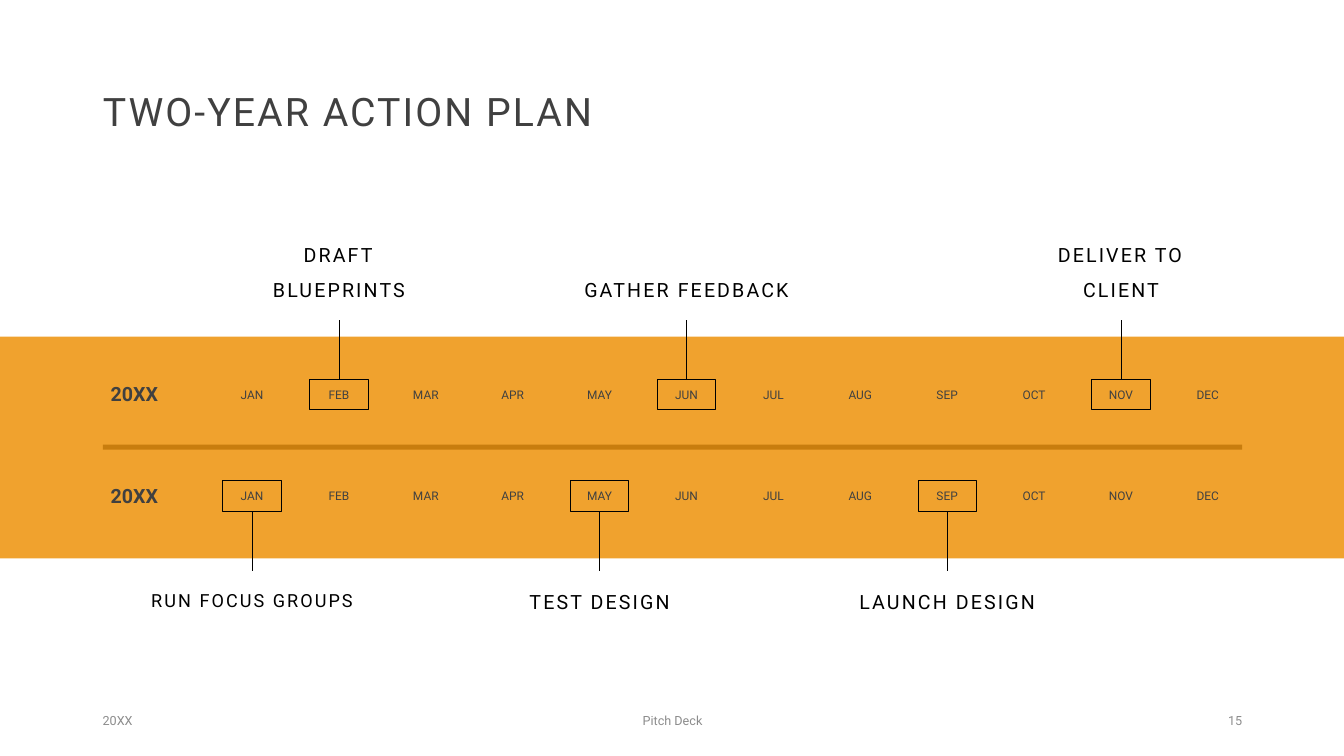
from lxml.etree import SubElement
from pptx import Presentation
from pptx.dml.color import RGBColor
from pptx.enum.shapes import MSO_CONNECTOR as Conn, MSO_SHAPE as Shape
from pptx.enum.text import MSO_ANCHOR as Anchor, MSO_AUTO_SIZE as Fit, PP_ALIGN as Align
from pptx.oxml.ns import qn
from pptx.util import Inches, Pt

COLORS = {
    "band": "F0A22E", "divider": "C87D0E", "text": "404040",
    "label": "000000", "line": "000000", "footer": "8C8C8C",
}
FONT = "Roboto"
WIDTH, HEIGHT = 13.33, 7.5

# Grid: twelve month columns by centre, two year rows by centre
MONTHS = "JAN FEB MAR APR MAY JUN JUL AUG SEP OCT NOV DEC".split()
FIRST_COL, LAST_COL = 2.5, 11.98
COL_STEP = (LAST_COL - FIRST_COL) / (len(MONTHS) - 1)
FIRST_ROW, ROW_STEP = 3.91, 1.01
BOX_W, BOX_H, STEM = 0.58, 0.3, 0.59
LABEL_W, LABEL_H = 2.25, 0.61

# Per year: name, direction of its labels (-1 up, 1 down), milestones
YEARS = [
    ("20XX", -1, [("FEB", "DRAFT BLUEPRINTS", 14),
                  ("JUN", "GATHER FEEDBACK", 14),
                  ("NOV", "DELIVER TO CLIENT", 14)]),
    ("20XX", 1, [("JAN", "RUN FOCUS GROUPS", 12.9),
                 ("MAY", "TEST DESIGN", 14),
                 ("SEP", "LAUNCH DESIGN", 14)]),
]


def rgb(name):
    return RGBColor.from_string(COLORS[name])


def col_x(month):
    return FIRST_COL + MONTHS.index(month) * COL_STEP


def write(sp, text, size, color, align=Align.LEFT, anchor=Anchor.TOP,
          leading=1.0, bold=False, spacing=0):
    tf = sp.text_frame
    tf.word_wrap = True
    tf.auto_size = Fit.NONE
    tf.vertical_anchor = anchor
    p = tf.paragraphs[0]
    p.alignment = align
    p.line_spacing = leading
    r = p.add_run()
    r.text = text
    r.font.name, r.font.size, r.font.bold = FONT, Pt(size), bold
    r.font.color.rgb = rgb(color)
    if spacing:
        r.font._element.set("spc", str(int(spacing * 100)))


def add_text(s, x, y, w, h, text, size, color, **style):
    sp = s.shapes.add_textbox(Inches(x), Inches(y), Inches(w), Inches(h))
    write(sp, text, size, color, **style)


def add_rect(s, x, y, w, h, fill=None):
    sp = s.shapes.add_shape(Shape.RECTANGLE, Inches(x), Inches(y), Inches(w), Inches(h))
    sp.shadow.inherit = False
    if fill:
        sp.fill.solid()
        sp.fill.fore_color.rgb = rgb(fill)
        sp.line.fill.background()
    else:
        sp.fill.background()
        sp.line.color.rgb = rgb("line")
        sp.line.width = Pt(0.5)


def add_stem(s, x, y1, y2):
    line = s.shapes.add_connector(Conn.STRAIGHT, Inches(x), Inches(y1), Inches(x), Inches(y2))
    line.line.color.rgb = rgb("line")
    line.line.width = Pt(0.5)
    SubElement(line._element.spPr, qn("a:effectLst"))


def add_title(s, text):
    sp = s.shapes.title
    sp.left, sp.top = Inches(0.92), Inches(0.4)
    sp.width, sp.height = Inches(11.5), Inches(1.45)
    write(sp, text, 28, "text", anchor=Anchor.MIDDLE, leading=0.9, spacing=1.5)


def add_milestone(s, x, row, side, label, size):
    add_rect(s, x - BOX_W / 2, row - BOX_H / 2, BOX_W, BOX_H)
    edge = row + side * BOX_H / 2
    add_stem(s, x, edge, edge + side * STEM)
    top = row - 1.48 if side < 0 else row + 0.77
    add_text(s, x - LABEL_W / 2, top, LABEL_W, LABEL_H, label, size, "label",
             align=Align.CENTER, anchor=Anchor.BOTTOM if side < 0 else Anchor.TOP,
             leading=1.5, spacing=1.5)


def add_year(s, row, name, side, milestones):
    add_text(s, 1, row - 0.24, 0.8, 0.5, name, 14, "text",
             anchor=Anchor.MIDDLE, leading=0.9, bold=True)
    for month in MONTHS:
        add_text(s, col_x(month) - 0.35, row - 0.08, 0.7, 0.22, month, 8.5, "text",
                 align=Align.CENTER, leading=0.7)
    for month, label, size in milestones:
        add_milestone(s, col_x(month), row, side, label, size)


def add_footer(s):
    for x, w, text, align in [(0.92, 3, "20XX", Align.LEFT),
                              (4.42, 4.5, "Pitch Deck", Align.CENTER),
                              (9.42, 3, "15", Align.RIGHT)]:
        add_text(s, x, 6.95, w, 0.4, text, 9, "footer", align=align, anchor=Anchor.MIDDLE)


def main():
    prs = Presentation()
    prs.slide_width, prs.slide_height = Inches(WIDTH), Inches(HEIGHT)
    s = prs.slides.add_slide(prs.slide_layouts[5])

    # Band and divider
    add_rect(s, 0, 3.34, WIDTH, 2.2, "band")
    add_rect(s, 1.02, 4.41, 11.3, 0.05, "divider")

    # Title, timelines, footer
    add_title(s, "TWO-YEAR ACTION PLAN")
    for i, (name, side, milestones) in enumerate(YEARS):
        add_year(s, FIRST_ROW + i * ROW_STEP, name, side, milestones)
    add_footer(s)

    prs.save("out.pptx")


if __name__ == "__main__":
    main()
